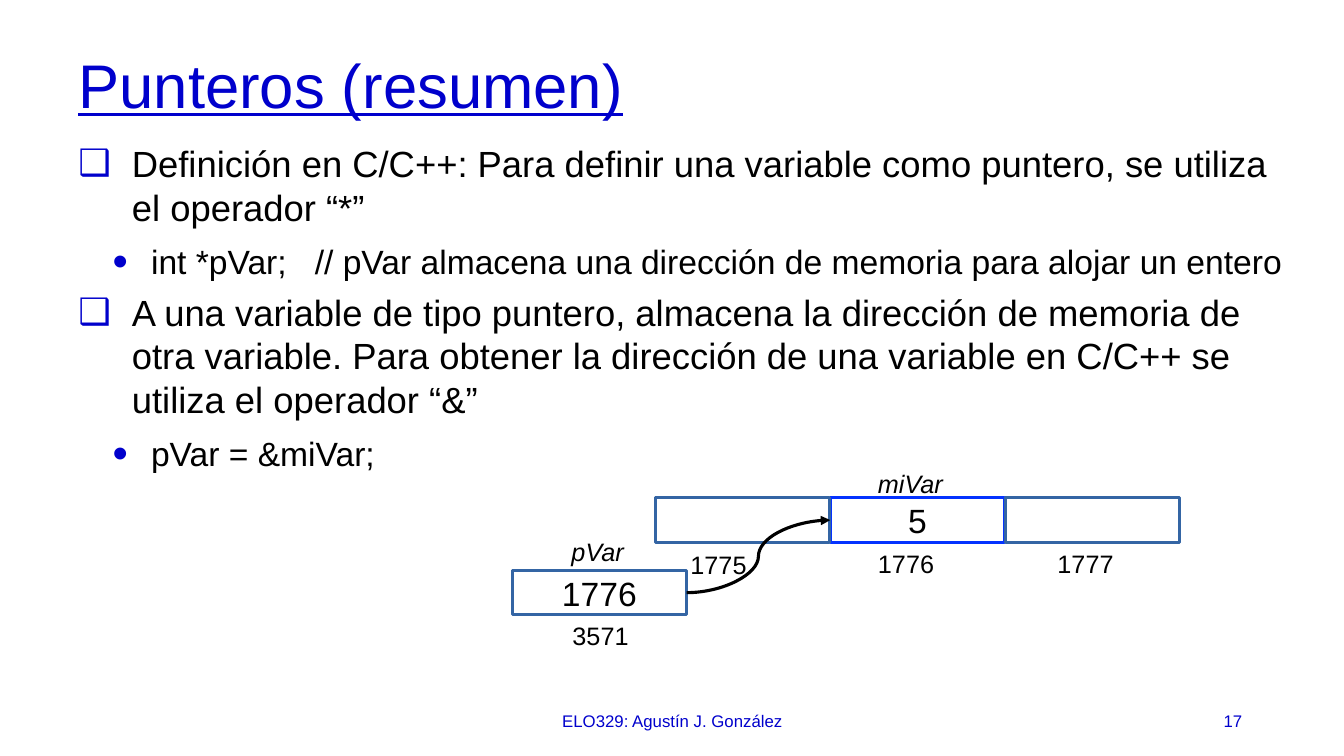
from pptx import Presentation
from pptx.dml.color import RGBColor
from pptx.enum.shapes import MSO_CONNECTOR, MSO_SHAPE
from pptx.enum.text import MSO_ANCHOR, PP_ALIGN
from pptx.util import Inches, Pt
from lxml.etree import SubElement
from pptx.oxml.ns import qn

FONT = "Arial"
HUES = {"blue": "0000CC", "ink": "000000", "edge": "3465A4", "focus": "0432FF"}
TITLE = "Punteros (resumen)"
BODY = [
    (0, ["Definición en C/C++: Para definir una variable como puntero, se utiliza el operador “*”"]),
    (1, ["int *pVar;", " ", "// pVar almacena una dirección de memoria para alojar un entero"]),
    (0, ["A una variable de tipo puntero, almacena la dirección de memoria de otra variable. "
         "Para obtener la dirección de una variable en C/C++ se utiliza el operador “&”"]),
    (1, ["pVar = &miVar;"]),
]
LEVELS = [
    {"size": 26, "left": 0.53, "hang": 0.53, "before": 6, "after": 4,
     "mark": "❑", "scale": 100},
    {"size": 24, "left": 0.72, "hang": 0.38, "before": 5, "after": 0,
     "mark": "•", "scale": 130},
]
FOOTER = [
    ("ELO329: Agustín J. González", 4.42, 4.5, PP_ALIGN.CENTER),
    ("17", 9.42, 3, PP_ALIGN.RIGHT),
]
CELLS = [(1, "5", "focus"), (0, "", "edge"), (2, "", "edge")]
LABELS = [
    ("miVar", 8.61, 4.6, 0.93, True),
    ("1777", 10.39, 5.39, 0.83, False),
    ("1776", 8.61, 5.39, 0.83, False),
    ("1775", 6.75, 5.4, 0.83, False),
    ("3571", 5.58, 6.1, 0.8, False),
    ("pVar", 5.57, 5.27, 0.8, True),
]
LABEL_H = 0.33
ROW_X, ROW_Y = 6.5, 4.94
CELL_W, CELL_H, STEP = 1.73, 0.44, 1.735
GAP = 1334


def rgb(name):
    return RGBColor.from_string(HUES[name])


def style(para, size, hue="ink", slant=False):
    for run in para.runs:
        font = run.font
        font.name, font.size, font.italic = FONT, Pt(size), slant
        font.color.rgb = rgb(hue)


def write(shape, text, size, hue="ink", align=PP_ALIGN.LEFT,
          anchor=MSO_ANCHOR.TOP, slant=False):
    frame = shape.text_frame
    frame.word_wrap, frame.vertical_anchor = True, anchor
    frame.text = text
    para = frame.paragraphs[0]
    para.alignment = align
    style(para, size, hue, slant)
    return frame


def bullet(para, level):
    props = para._p.get_or_add_pPr()
    props.set("marL", str(Inches(level["left"])))
    props.set("indent", str(-Inches(level["hang"])))
    color = SubElement(props, qn("a:buClr"))
    SubElement(color, qn("a:srgbClr"), val=HUES["blue"])
    SubElement(props, qn("a:buSzPct"), val=str(level["scale"] * 1000))
    SubElement(props, qn("a:buFont"), typeface=FONT)
    SubElement(props, qn("a:buChar"), char=level["mark"])


def cell(home, text, x, y, hue):
    shape = home.add_shape(MSO_SHAPE.RECTANGLE, *map(Inches, (x, y, CELL_W, CELL_H)))
    shape.shadow.inherit = False
    shape.fill.background()
    shape.line.color.rgb = rgb(hue)
    shape.line.width = Pt(2.25)
    write(shape, text, 24, align=PP_ALIGN.CENTER, anchor=MSO_ANCHOR.MIDDLE)
    return shape


def label(home, text, x, y, wide, slant):
    pen = home.build_freeform(Inches(x), Inches(y))
    right, low = x + wide, y + LABEL_H
    spots = [(right, y), (right, low), (x, low)]
    pen.add_line_segments([(Inches(a), Inches(b)) for a, b in spots], close=True)
    shape = pen.convert_to_shape()
    shape.shadow.inherit = False
    shape.fill.background()
    shape.line.fill.background()
    write(shape, text, 18, slant=slant)


def arrow(home, start, end):
    ends = (start.left + start.width, start.top + start.height // 2,
            end.left, end.top + end.height // 2)
    link = home.add_connector(MSO_CONNECTOR.CURVE, *ends)
    link.begin_connect(start, 3)
    link.end_connect(end, 1)
    link.line.color.rgb = rgb("ink")
    link.line.width = Pt(2.25)
    SubElement(link.line._get_or_add_ln(), qn("a:tailEnd"), type="triangle")
    SubElement(link._element.spPr, qn("a:effectLst"))


def main():
    deck = Presentation()
    deck.slide_width, deck.slide_height = Inches(13.33), Inches(7.5)
    slide = deck.slides.add_slide(deck.slide_layouts[6])
    shapes = slide.shapes

    box = shapes.add_textbox(*map(Inches, (0.68, 0.4, 12.08, 0.95)))
    head = write(box, TITLE, 44, "blue", anchor=MSO_ANCHOR.MIDDLE).paragraphs[0]
    head.line_spacing = 0.9
    head.runs[0].font.underline = True

    box = shapes.add_textbox(*map(Inches, (0.68, 1.35, 12.36, 3.74)))
    frame = write(box, "", 26)
    for row, (depth, parts) in enumerate(BODY):
        para = frame.add_paragraph() if row else frame.paragraphs[0]
        level = LEVELS[depth]
        para.level = depth
        para.space_before, para.space_after = Pt(level["before"]), Pt(level["after"])
        for part in parts:
            run = para.add_run()
            run.text = part
            if part == " ":
                run.font._element.set("spc", str(GAP))
        style(para, level["size"])
        bullet(para, level)

    for text, x, wide, align in FOOTER:
        box = shapes.add_textbox(*map(Inches, (x, 6.95, wide, 0.4)))
        write(box, text, 12, "blue", align, MSO_ANCHOR.MIDDLE)

    memory = shapes.add_group_shape().shapes
    slots = {i: cell(memory, text, ROW_X + i * STEP, ROW_Y, hue) for i, text, hue in CELLS}
    pointer = cell(memory, "1776", 5.08, 5.66, "edge")
    arrow(memory, pointer, slots[1])
    for item in LABELS:
        label(memory, *item)

    deck.save("out.pptx")


if __name__ == "__main__":
    main()
